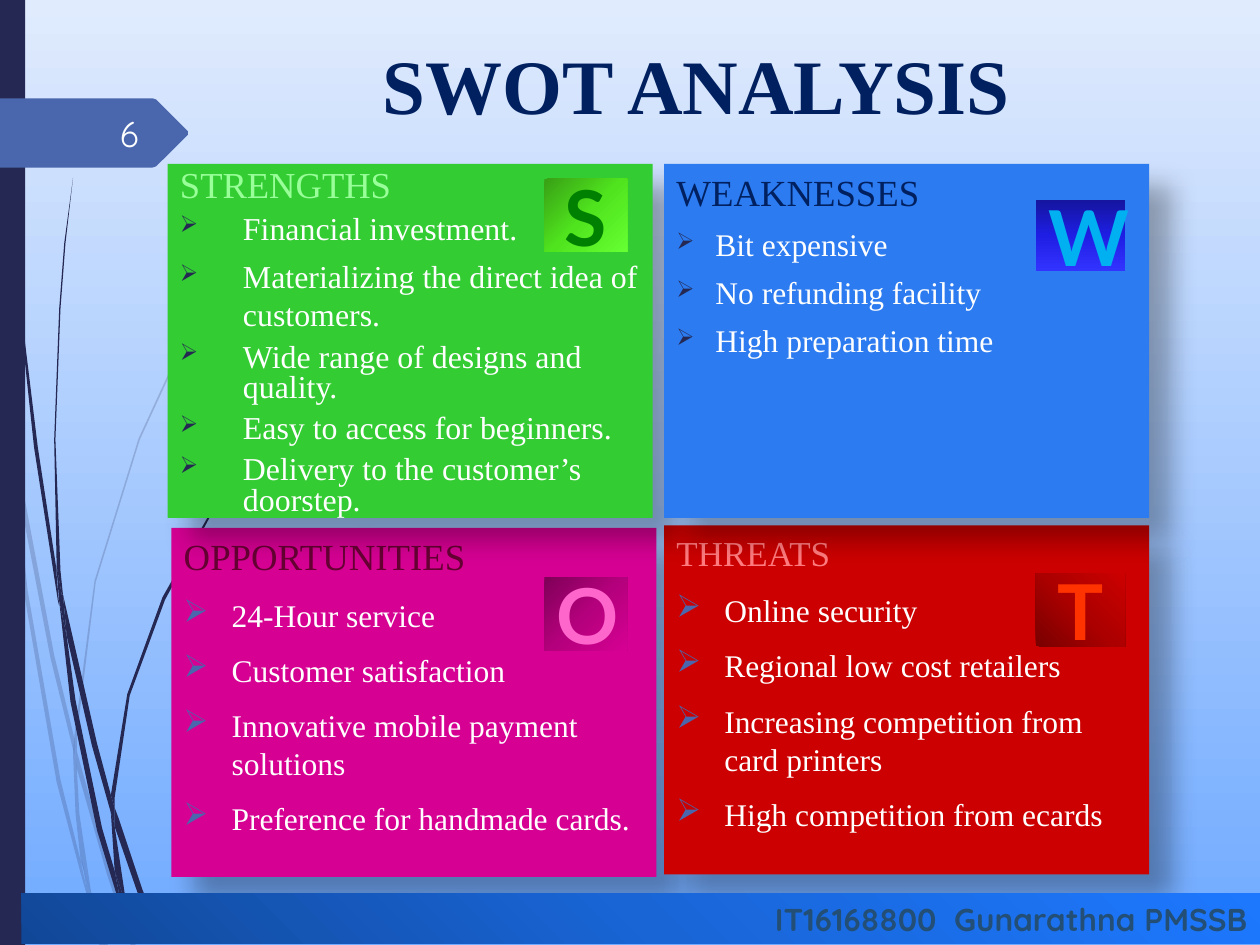
import copy
from dataclasses import dataclass

import pptx
import pptx.dml.color
import pptx.enum.shapes
import pptx.enum.text
import pptx.oxml
import pptx.oxml.ns
import pptx.util

Inches, Pt = pptx.util.Inches, pptx.util.Pt
Align, Anchor = pptx.enum.text.PP_ALIGN, pptx.enum.text.MSO_ANCHOR
qn = pptx.oxml.ns.qn
NS = pptx.oxml.ns.nsdecls("a")
SERIF, ROUND = "Times New Roman", "Quicksand"
NAVY, BLUE, WHITE = "242852", "4A66AC", "FFFFFF"

Box = tuple[float, float, float, float]
Point = tuple[float, float]


@dataclass
class Style:
    size: float
    face: str
    color: str
    bold: bool = False


@dataclass
class List:
    """Spacing and bullets of one panel's lines."""
    size: float
    head: float
    indent: float
    before: float
    bullet: str
    scale: int = 100


@dataclass
class Panel:
    box: Box
    fill: str
    title: str
    tint: str
    form: List
    items: list[str]
    tight: tuple[int, ...] = ()  # lines set at 0.8 spacing


@dataclass
class Badge:
    box: Box
    text: str
    color: str
    stops: list[str]
    angle: int


# Corner points of the grass blades, pale ones first
PALE = [
    [(.08, 3.5), (.06, 3.22), (0, 2.82), (0, 2.99), (.07, 3.44)],
    [(.4, 5.22), (.59, 5.99), (.59, 5.86), (.43, 5.2), (.1, 3.45), (.12, 3.76)],
    [(.64, 6.07), (.61, 5.96), (.61, 6.1), (.85, 6.94), (1.04, 7.51), (1.08, 7.51), (.88, 6.92)],
    [(.83, 7.51), (.86, 7.51), (.73, 7.11)],
    [(.64, 6.83), (.48, 6.19), (.22, 4.69), (.12, 3.76), (.08, 3.5), (.19, 4.7), (.45, 6.21),
     (.64, 6.93), (.7, 7.14), (.69, 7.07)],
    [(.58, 5.99), (.6, 6.46), (.64, 6.83), (.67, 6.92), (.73, 7.11), (.72, 7.06), (.63, 6.46),
     (.61, 6.1), (.61, 6.08)],
    [(.61, 5.84), (.76, 4.62), (1.11, 3.49), (1.59, 2.45), (1.87, 1.98), (2.01, 1.75),
     (2.17, 1.54), (2.17, 1.53), (2.01, 1.75), (1.86, 1.97), (1.58, 2.44), (1.1, 3.48),
     (.75, 4.61), (.59, 5.84), (.59, 5.86), (.61, 5.96)],
    [(.7, 7.14), (.79, 7.51), (.82, 7.51)],
    [(.61, 6.08), (.61, 6.1), (.61, 5.96), (.59, 5.86), (.58, 5.99)],
    [(.67, 6.92), (.65, 6.83), (.69, 7.07), (.7, 7.14), (.82, 7.51), (.83, 7.51), (.73, 7.11)],
]
DARK = [
    [(.05, 1.1), (.14, 2.33), (.27, 3.55), (.46, 4.77), (.47, 4.81), (.45, 4.57), (.45, 4.53),
     (.3, 3.55), (.15, 2.32), (.06, 1.09), (.04, .48), (.03, 0), (.02, 0), (.03, .48)],
    [(.73, 5.92), (.88, 6.45), (.88, 6.33), (.88, 6.31), (.77, 5.9), (.5, 4.72), (.53, 5.05)],
    [(.94, 6.49), (.91, 6.41), (.91, 6.56), (1.09, 7.08), (1.26, 7.49), (1.3, 7.49), (1.13, 7.06)],
    [(.91, 6.91), (.81, 6.57), (.6, 5.56), (.53, 5.05), (.47, 4.77), (.56, 5.57), (.77, 6.59),
     (.92, 7.08), (.97, 7.22), (.96, 7.17)],
    [(.5, 4.72), (.48, 4.53), (.44, 3.49), (.48, 2.45), (.52, 1.93), (.58, 1.41), (.51, 1.93),
     (.47, 2.45), (.43, 3.49), (.45, 4.49), (.49, 4.72)],
    [(1.1, 7.49), (1.13, 7.49), (1, 7.19)],
    [(.47, 4.77), (.53, 5.05), (.5, 4.72), (.49, 4.72), (.45, 4.49), (.45, 4.53)],
    [(.91, 6.33), (1.03, 5.52), (1.31, 4.76), (1.69, 4.06), (1.91, 3.74), (2.03, 3.59),
     (2.16, 3.44), (2.15, 3.44), (2.03, 3.58), (1.91, 3.73), (1.68, 4.05), (1.29, 4.74),
     (1.01, 5.51), (.88, 6.31), (.91, 6.41)],
    [(.97, 7.22), (1.05, 7.49), (1.08, 7.49)],
    [(.88, 6.45), (.91, 6.91), (.96, 7.06), (1, 7.19), (1, 7.16), (.91, 6.56), (.9, 6.51)],
    [(.88, 6.45), (.9, 6.51), (.91, 6.56), (.91, 6.41), (.88, 6.31), (.88, 6.33)],
    [(.96, 7.06), (.91, 6.91), (.96, 7.17), (.97, 7.22), (1.08, 7.49), (1.1, 7.49), (1, 7.19)],
]
TAG = [(1.49, 1.07), (1.24, 1.32), (1.21, 1.33), (0, 1.33), (0, .78), (1.21, .78), (1.24, .79),
       (1.49, 1.04)]

LOW = List(18, 21, .38, 10, BLUE)
PANELS = [
    Panel((1.36, 4.19, 3.85, 2.77), "D60093", "OPPORTUNITIES", "660033", LOW,
          ["24-Hour service", "Customer satisfaction", "Innovative mobile payment solutions",
           "Preference for handmade cards."]),
    Panel((5.27, 4.17, 3.85, 2.77), "CC0000", "THREATS", "FF7C80", List(18, 20, .38, 10, BLUE),
          ["Online security", "Regional low cost retailers",
           "Increasing competition from card printers", "High competition from ecards"]),
    Panel((1.33, 1.3, 3.85, 2.81), "33CC33", "STRENGTHS", "99FF99",
          List(18.2, 20.9, .5, 6, NAVY, 73),
          ["Financial investment.", "Materializing the direct idea of customers.",
           "Wide range of designs and quality.", "Easy to access for beginners.",
           "Delivery to the customer’s doorstep."], (0, 1, 3, 4, 5)),
    Panel((5.27, 1.3, 3.85, 2.81), "2C7BF0", "WEAKNESSES", "002060",
          List(18, 21, .31, 6, NAVY, 73),
          ["Bit expensive", "No refunding facility", "High preparation time"]),
]
BADGES = [
    Badge((4.32, 1.42, .66, .58), "S", "008000", ["38A015", "50E41E", "66FF33"], 45),
    Badge((8.22, 1.59, .71, .56), "W", "00B0F0", ["1515A0", "1E1EE4", "3333FF"], 90),
    Badge((4.32, 4.58, .66, .58), "O", "FF66CC", ["7F0057", "B4007C", "D60093"], 45),
    Badge((8.22, 4.55, .71, .58), "T", "FF3300", ["790000", "AC0000", "CC0000"], 315),
]


def rgb(code: str):
    return pptx.dml.color.RGBColor.from_string(code)


def shade(fill, root, stops: list[str], angle: int) -> None:
    """Fill with evenly spaced stops; the angle runs clockwise."""
    fill.gradient()
    fill.gradient_angle = (360 - angle) % 360
    marks = next(root.iter(qn("a:gsLst")))
    for _ in stops[2:]:
        marks.append(copy.deepcopy(marks[0]))
    for i, (stop, code) in enumerate(zip(fill.gradient_stops, stops)):
        stop.color.rgb = rgb(code)
        stop.position = i / (len(stops) - 1)


def paint(shape, color: str) -> None:
    shape.fill.solid()
    shape.fill.fore_color.rgb = rgb(color)


def rect(shapes, box: Box):
    shape = shapes.add_shape(pptx.enum.shapes.MSO_SHAPE.RECTANGLE, *map(Inches, box))
    shape.shadow.inherit = False
    shape.line.fill.background()
    return shape


def outline(shapes, dots: list[Point], color: str, alpha: int = 100) -> None:
    """Draw a closed polygon; the pen counts in whole hundredths of an inch."""
    start, *rest = [(round(x * 100), round(y * 100)) for x, y in dots]
    pen = shapes.build_freeform(*start, scale=Inches(.01))
    pen.add_line_segments(rest, close=True)
    shape = pen.convert_to_shape()
    shape.shadow.inherit = False
    shape.line.fill.background()
    paint(shape, color)
    if alpha < 100:
        tone = next(shape._element.spPr.iter(qn("a:srgbClr")))
        tone.append(pptx.oxml.parse_xml(f'<a:alpha {NS} val="{alpha * 1000}"/>'))


def ink(para, style: Style) -> None:
    font = para.font
    font.size, font.name, font.bold = Pt(style.size), style.face, style.bold
    font.color.rgb = rgb(style.color)


def label(shape, text: str, style: Style, align, anchor=Anchor.MIDDLE) -> None:
    frame = shape.text_frame
    frame.word_wrap, frame.vertical_anchor = True, anchor
    para = frame.paragraphs[0]
    para.text, para.alignment = text, align
    ink(para, style)


def cast(shape) -> None:
    """Add the soft shadow at the lower right."""
    effect = shape._element.spPr.find(qn("a:effectLst"))
    effect.append(pptx.oxml.parse_xml(
        f'<a:outerShdw {NS} blurRad="{Pt(15)}" dist="{Pt(18)}" dir="2700000" algn="tl" '
        'rotWithShape="0"><a:srgbClr val="000000"><a:alpha val="30000"/></a:srgbClr>'
        '</a:outerShdw>'))


def indent(para, depth: float, form: List, dot: bool) -> None:
    props = para._p.get_or_add_pPr()
    props.set("marL", str(Inches(depth)))
    props.set("indent", str(-Inches(depth)))
    if dot:
        for part in (f'<a:buClr {NS}><a:srgbClr val="{form.bullet}"/></a:buClr>',
                     f'<a:buSzPct {NS} val="{form.scale * 1000}"/>',
                     f'<a:buChar {NS} char="➢"/>'):
            props.append(pptx.oxml.parse_xml(part))


def draw_panel(shapes, panel: Panel) -> None:
    shape, form = rect(shapes, panel.box), panel.form
    paint(shape, panel.fill)
    cast(shape)
    frame = shape.text_frame
    frame.word_wrap, frame.vertical_anchor = True, Anchor.TOP
    for i, text in enumerate([panel.title, *panel.items]):
        para = frame.add_paragraph() if i else frame.paragraphs[0]
        para.text, para.alignment = text, Align.LEFT
        indent(para, form.indent if i else min(form.indent, .38), form, i > 0)
        para.space_before = Pt(form.before)
        if i in panel.tight:
            para.line_spacing = .8
        ink(para, Style(form.size, SERIF, WHITE) if i else Style(form.head, SERIF, panel.tint))


def draw_badge(shapes, badge: Badge) -> None:
    shape = rect(shapes, badge.box)
    shade(shape.fill, shape._element, badge.stops, badge.angle)
    label(shape, badge.text, Style(44, "Lato", badge.color, True), Align.CENTER)


def main() -> None:
    deck = pptx.Presentation()
    deck.slide_width, deck.slide_height = Inches(10), Inches(7.5)
    slide = deck.slides.add_slide(deck.slide_layouts[6])
    shapes = slide.shapes
    shade(slide.background.fill, slide._element, ["E0EBFD", "70AAFF"], 90)

    for blades, alpha in ((PALE, 20), (DARK, 100)):
        group = shapes.add_group_shape()
        for dots in blades:
            outline(group.shapes, dots, NAVY, alpha)
    paint(rect(shapes, (0, 0, .2, 7.5)), NAVY)
    outline(shapes, TAG, BLUE)

    title = shapes.add_textbox(*map(Inches, (1.92, .25, 7.21, 1.4)))
    label(title, "SWOT ANALYSIS", Style(44, SERIF, "002060", True), Align.CENTER, Anchor.TOP)
    for panel in PANELS:
        draw_panel(shapes, panel)
    for badge in BADGES:
        draw_badge(shapes, badge)

    foot = rect(shapes, (.17, 7.09, 9.83, .4))
    shade(foot.fill, foot._element, ["114797", "1965D6", "1D78FE"], 315)
    label(foot, "IT16168800  Gunarathna PMSSB", Style(18, ROUND, "234F77", True), Align.RIGHT)
    page = shapes.add_textbox(*map(Inches, (.56, .86, .64, .4)))
    label(page, "6", Style(20, ROUND, "FEFFFF"), Align.RIGHT)
    deck.save("out.pptx")


if __name__ == "__main__":
    main()
